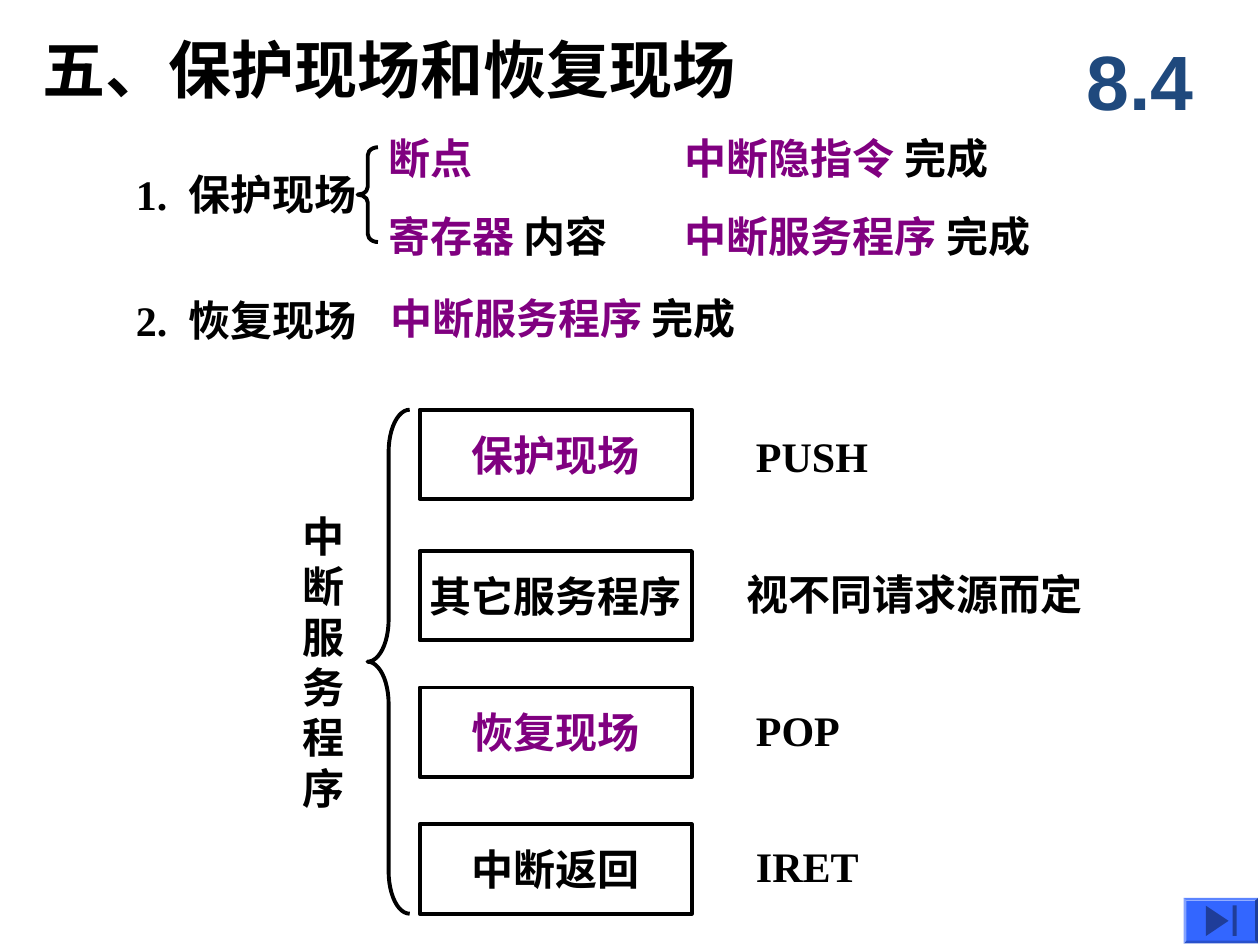
import pptx
import pptx.util
import pptx.dml.color
import pptx.enum.shapes
import pptx.enum.text

Cm, Pt = pptx.util.Cm, pptx.util.Pt
SHAPE = pptx.enum.shapes.MSO_SHAPE
ALIGN = pptx.enum.text.PP_ALIGN
ANCHOR = pptx.enum.text.MSO_ANCHOR

THEME = {
    "ink": "000000", "accent": "800080", "section": "1F497D",
    "button": "3366FF", "button_icon": "1F3D99",
    "body_font": "Times New Roman", "section_font": "Arial",
    "title_size": 36, "body_size": 24, "section_size": 44, "line": 2.25,
}

# Content: lengths in cm, text as (wording, colour) runs
TITLE = [("五、保护现场和恢复现场", "ink")]
SECTION = [("8.4", "section")]
HEADINGS = [(3.18, "1.\t保护现场"), (5.72, "2.\t恢复现场")]
HEADING_TAB = 1.06
DETAILS = [  # left, top, width, height, runs
    (7.83, 2.54, 2.75, 1.27, [("断点", "accent")]),
    (7.83, 4.02, 5.5, 1.47, [("寄存器 ", "accent"), ("内容", "ink")]),
    (13.8, 2.54, 8.8, 1.27, [("中断隐指令 ", "accent"), ("完成", "ink")]),
    (13.8, 4.02, 10.5, 1.47, [("中断服务程序 ", "accent"), ("完成", "ink")]),
    (7.87, 5.77, 8.0, 1.27, [("中断服务程序 ", "accent"), ("完成", "ink")]),
]
ROUTINE = "中断服务程序"
STEPS = [  # box top, wording, colour, note left, note top, note
    (8.26, "保护现场", "accent", 15.24, 8.46, "PUSH"),
    (11.11, "其它服务程序", "ink", 15.04, 11.23, "视不同请求源而定"),
    (13.86, "恢复现场", "accent", 15.24, 13.97, "POP"),
    (16.62, "中断返回", "ink", 15.24, 16.71, "IRET"),
]
BRACES = [  # left, top, width, height, curvature
    (7.21, 2.97, 0.41, 1.91, 0.39),
    (7.41, 8.26, 0.85, 10.16, 1.0),
]
BUTTON = (23.86, 18.1, 1.5, 0.92)

prs = pptx.Presentation()
prs.slide_width, prs.slide_height = Cm(25.4), Cm(19.05)
s = prs.slides.add_slide(prs.slide_layouts[6])


def color(name):
    return pptx.dml.color.RGBColor.from_string(THEME[name])


def write(sp, paragraphs, size="body_size", font="body_font", align=ALIGN.LEFT, wrap=True):
    tf = sp.text_frame
    tf.word_wrap = wrap
    tf.vertical_anchor = ANCHOR.MIDDLE
    tf.margin_left = tf.margin_right = 0
    tf.margin_top = tf.margin_bottom = Cm(0.13)
    for i, runs in enumerate(paragraphs):
        p = tf.paragraphs[0] if i == 0 else tf.add_paragraph()
        p.alignment = align
        for text, ink in runs:
            r = p.add_run()
            r.text = text
            r.font.name, r.font.size, r.font.bold = THEME[font], Pt(THEME[size]), True
            r.font.color.rgb = color(ink)
    return tf


def text_box(left, top, width, height, paragraphs, **style):
    sp = s.shapes.add_textbox(Cm(left), Cm(top), Cm(width), Cm(height))
    return write(sp, paragraphs, **style)


def shape(kind, left, top, width, height, fill=None, line="ink"):
    sp = s.shapes.add_shape(kind, Cm(left), Cm(top), Cm(width), Cm(height))
    sp.shadow.inherit = False
    if fill:
        sp.fill.solid()
        sp.fill.fore_color.rgb = color(fill)
    else:
        sp.fill.background()
    if line:
        sp.line.color.rgb = color(line)
        sp.line.width = Pt(THEME["line"])
    else:
        sp.line.fill.background()
    return sp


# Title and section number
text_box(0.85, 0.64, 17.58, 1.47, [TITLE], size="title_size")
text_box(21.39, 0.43, 3.18, 2.34, [SECTION], size="section_size",
         font="section_font", align=ALIGN.CENTER)

# Numbered headings, aligned on a tab after the number
for top, heading in HEADINGS:
    tf = text_box(2.74, top, 5.0, 1.47, [[(heading, "ink")]])
    pPr = tf.paragraphs[0]._p.get_or_add_pPr()
    tabs = pPr.makeelement(pptx.oxml.ns.qn("a:tabLst"), {})
    tabs.append(tabs.makeelement(pptx.oxml.ns.qn("a:tab"),
                                 {"pos": str(Cm(HEADING_TAB)), "algn": "l"}))
    pPr.append(tabs)

# What is saved and who does it
for left, top, width, height, runs in DETAILS:
    text_box(left, top, width, height, [runs])

# Braces
for left, top, width, height, curve in BRACES:
    shape(SHAPE.LEFT_BRACE, left, top, width, height).adjustments[0] = curve

# Service routine: one character a line, then its steps and notes
text_box(6.1, 10.16, 0.85, 6.35, [[(c, "ink")] for c in ROUTINE], wrap=False)
for top, step, ink, note_left, note_top, note in STEPS:
    write(shape(SHAPE.RECTANGLE, 8.46, top, 5.49, 1.8), [[(step, ink)]],
          align=ALIGN.CENTER)
    text_box(note_left, note_top, 7.2, 1.47, [[(note, "ink")]])

# Skip-to-end button
left, top, width, height = BUTTON
shape(SHAPE.BEVEL, *BUTTON, fill="button", line=None).adjustments[0] = 0.06
icon_top, icon_height = top + height / 6, height * 2 / 3
arrow = shape(SHAPE.ISOSCELES_TRIANGLE, left + 0.37, icon_top + 0.08, icon_height,
              0.46, fill="button_icon", line=None)
arrow.rotation = 90
shape(SHAPE.RECTANGLE, left + 0.99, icon_top, 0.08, icon_height,
      fill="button_icon", line=None)

prs.save("out.pptx")
